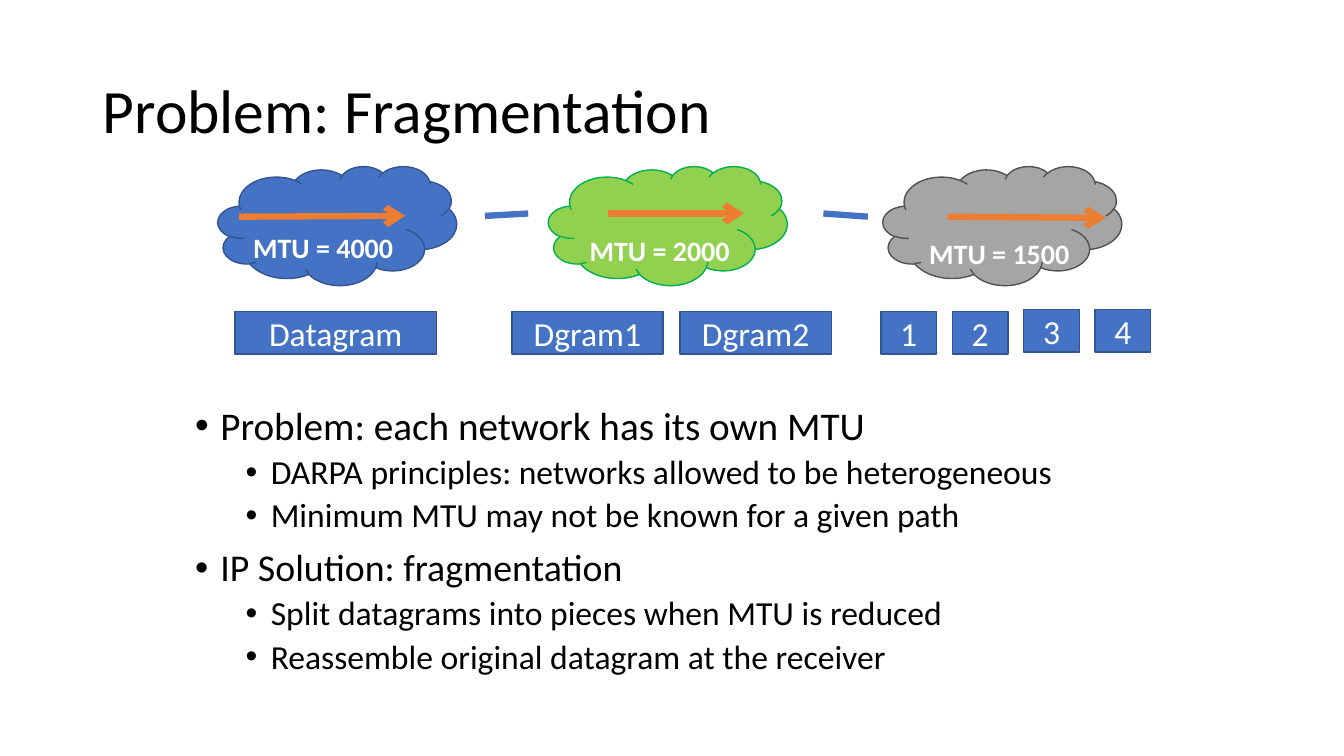
import pptx
import pptx.util
import pptx.dml.color
import pptx.enum.shapes
import pptx.enum.text
import pptx.oxml.ns
import lxml.etree

Cm = pptx.util.Cm
Pt = pptx.util.Pt
RGBColor = pptx.dml.color.RGBColor
Shape = pptx.enum.shapes.MSO_SHAPE
Align = pptx.enum.text.PP_ALIGN
Anchor = pptx.enum.text.MSO_ANCHOR

BLACK = RGBColor(0x00, 0x00, 0x00)
WHITE = RGBColor(0xFF, 0xFF, 0xFF)
BLUE = RGBColor(0x44, 0x72, 0xC4)
NAVY = RGBColor(0x32, 0x54, 0x91)
GRAY = RGBColor(0xA5, 0xA5, 0xA5)
DARK = RGBColor(0x52, 0x52, 0x52)
LIME = RGBColor(0x92, 0xD0, 0x50)
GREEN = RGBColor(0x00, 0xB0, 0x50)
ORANGE = RGBColor(0xED, 0x7D, 0x31)
FONT = "Calibri"

# Cloud box, colours, then parts relative to the cloud's corner:
# label corner, arrow ends, packet row start
NETS = [
    ((5.49, 4.19, 6.02, 3), BLUE, NAVY, "MTU = 4000",
     (0.43, 1.5), (0.53, 1.27, 4.72, 1.25), 0.43),
    ((13.82, 4.19, 6.02, 3), LIME, GREEN, "MTU = 2000",
     (0.58, 1.58), (1.5, 1.19, 4.93, 1.19), -0.92),
    ((22.25, 4.19, 6.02, 3), GRAY, DARK, "MTU = 1500",
     (0.71, 1.65), (1.63, 1.27, 5.61, 1.3), -0.05),
]
# Names with lift above the row, width and pitch
PACKETS = [
    ([("Datagram", 0)], 5.08, 0),
    ([("Dgram1", 0), ("Dgram2", 0)], 3.81, 4.24),
    ([("1", 0), ("2", 0), ("3", 0.05), ("4", 0.05)], 1.4, 1.8),
]
LINKS = [(12.22, 5.44, 13.31, 5.38), (20.75, 5.38, 21.87, 5.46)]
POINTS = [
    (0, 28, "Problem: each network has its own MTU"),
    (1, 24, "DARPA principles: networks allowed to be heterogeneous"),
    (1, 24, "Minimum MTU may not be known for a given path"),
    (0, 27, "IP Solution: fragmentation"),
    (1, 24, "Split datagrams into pieces when MTU is reduced"),
    (1, 24, "Reassemble original datagram at the receiver"),
]


def add_run(para, text, size, color, bold=False):
    run = para.add_run()
    run.text = text
    run.font.name = FONT
    run.font.size = Pt(size)
    run.font.bold = bold
    run.font.color.rgb = color


def add_text(slide, box, wrap=True):
    """Add an empty text box and return its frame."""
    frame = slide.shapes.add_textbox(*map(Cm, box)).text_frame
    frame.word_wrap = wrap
    return frame


def add_block(slide, kind, box, fill, edge):
    shape = slide.shapes.add_shape(kind, *map(Cm, box))
    shape.shadow.inherit = False
    shape.fill.solid()
    shape.fill.fore_color.rgb = fill
    shape.line.color.rgb = edge
    shape.line.width = Pt(1)
    return shape


def add_line(slide, ends, color, head=False):
    line = slide.shapes.add_connector(
        pptx.enum.shapes.MSO_CONNECTOR.STRAIGHT, *map(Cm, ends))
    line.line.color.rgb = color
    line.line.width = Pt(4.5)
    qn = pptx.oxml.ns.qn
    if head:
        lxml.etree.SubElement(line.line._get_or_add_ln(), qn("a:tailEnd"),
                              type="arrow")
    lxml.etree.SubElement(line._element.spPr, qn("a:effectLst"))


def add_title(slide, box):
    frame = add_text(slide, box)
    frame.vertical_anchor = Anchor.MIDDLE
    para = frame.paragraphs[0]
    para.line_spacing = 0.9
    add_run(para, "Problem: Fragmentation", 44, BLACK)


def add_points(slide, box):
    frame = add_text(slide, box)
    for i, (level, size, text) in enumerate(POINTS):
        para = frame.add_paragraph() if i else frame.paragraphs[0]
        para.level = level
        para.line_spacing = 0.9
        para.space_before = Pt((5 if level else 10) if i else 0)
        props = para._p.get_or_add_pPr()
        props.set("marL", str(Cm(0.635 + 1.27 * level)))
        props.set("indent", str(-Cm(0.635)))
        qn = pptx.oxml.ns.qn
        lxml.etree.SubElement(props, qn("a:buFont"), typeface="Arial")
        lxml.etree.SubElement(props, qn("a:buChar"), char="•")
        add_run(para, text, size, BLACK)


def add_net(slide, box, fill, edge, label, spot, ends):
    """Draw a cloud with its MTU label and arrow."""
    left, top = box[:2]
    add_block(slide, Shape.CLOUD, box, fill, edge)
    frame = add_text(slide, (left + spot[0], top + spot[1], 4.45, 1.12), False)
    para = frame.paragraphs[0]
    para.alignment = Align.CENTER
    add_run(para, label, 20, WHITE, True)
    x1, y1, x2, y2 = ends
    add_line(slide, (left + x1, top + y1, left + x2, top + y2), ORANGE, True)


def add_packets(slide, left, top, names, width, pitch):
    for i, (name, lift) in enumerate(names):
        box = (left + i * pitch, top - lift, width, 1.07)
        shape = add_block(slide, Shape.RECTANGLE, box, BLUE, NAVY)
        frame = shape.text_frame
        frame.word_wrap = True
        frame.vertical_anchor = Anchor.MIDDLE
        para = frame.paragraphs[0]
        para.alignment = Align.CENTER
        add_run(para, name, 24, WHITE)


def main():
    deck = pptx.Presentation()
    deck.slide_width = Cm(33.87)
    deck.slide_height = Cm(19.05)
    slide = deck.slides.add_slide(deck.slide_layouts[6])
    add_title(slide, (2.34, 1.02, 29.21, 3.68))
    add_points(slide, (4.67, 10.11, 24.56, 8.08))
    for (box, *look, start), row in zip(NETS, PACKETS):
        add_net(slide, box, *look)
        add_packets(slide, box[0] + start, box[1] + 3.66, *row)
    for ends in LINKS:
        add_line(slide, ends, BLUE)
    deck.save("out.pptx")


if __name__ == "__main__":
    main()
